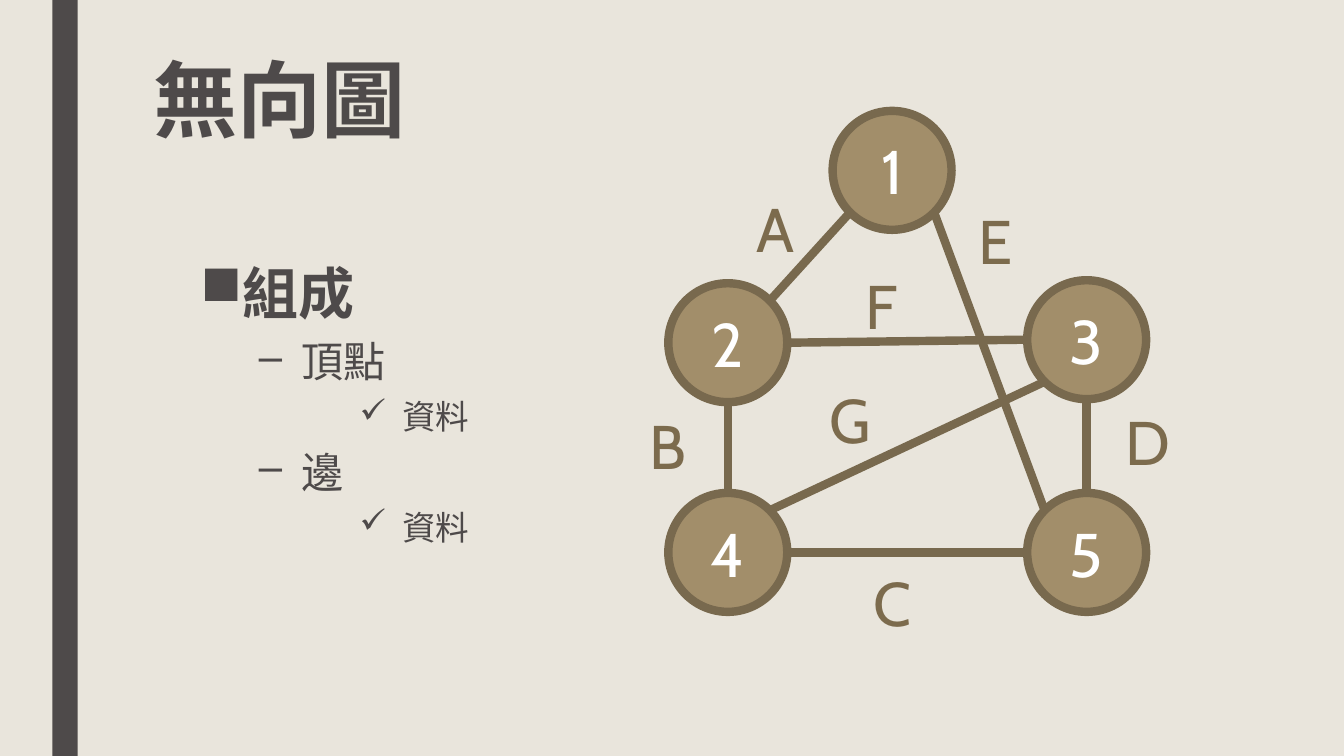
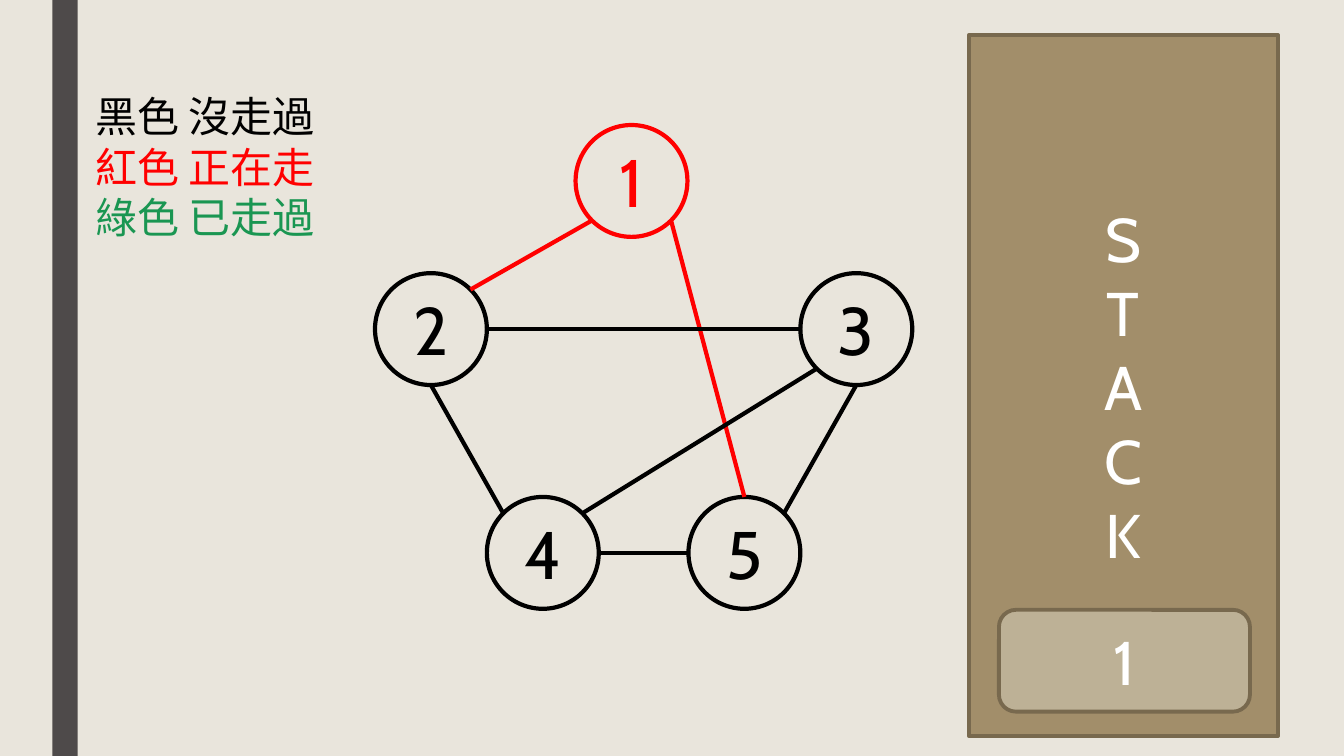
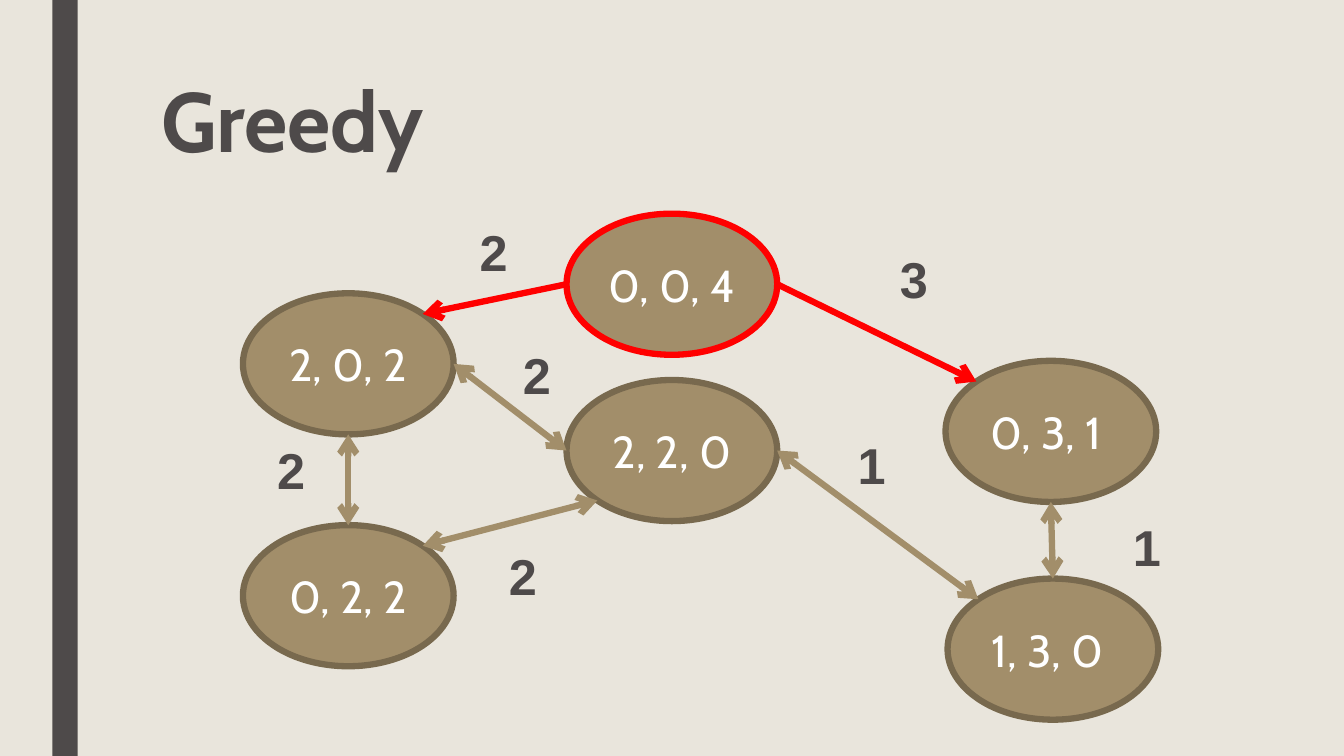
"""Three slides on graphs: parts, a depth-first walk and a greedy search."""
from math import cos, radians, sin

from lxml import etree
from pptx import Presentation
from pptx import util as u
from pptx.dml.color import RGBColor
from pptx.enum import shapes, text
from pptx.oxml.ns import qn

CREAM = RGBColor(0xE9, 0xE5, 0xDC)
DARK = RGBColor(0x4E, 0x4A, 0x4A)
TAN = RGBColor(0xA2, 0x8E, 0x6A)
SAND = RGBColor(0xBD, 0xB1, 0x96)
BROWN = RGBColor(0x78, 0x69, 0x4E)
UMBER = RGBColor(0x7C, 0x6B, 0x4D)
WHITE = RGBColor(0xFF, 0xFF, 0xFF)
BLACK = RGBColor(0x00, 0x00, 0x00)
RED = RGBColor(0xFF, 0x00, 0x00)
GREEN = RGBColor(0x1A, 0x96, 0x52)

CELL = u.Inches(0.1)
WIDE, HIGH = 133.33, 75
OVAL = shapes.MSO_SHAPE.OVAL
RECT = shapes.MSO_SHAPE.RECTANGLE
ROUND = shapes.MSO_SHAPE.ROUNDED_RECTANGLE
MID = text.PP_ALIGN.CENTER
TOP, LOW, LEFT, RIGHT = 0, 4, 2, 6
TOP_L, LOW_L, LOW_R, TOP_R = 1, 3, 5, 7


def grid(*cells):
    """Turn grid cells into lengths."""
    return [round(n * CELL) for n in cells]


def style(para, size, color, font="Cabin", bold=False, align=None):
    """Format a paragraph and its runs."""
    para.alignment = align
    for run in para.runs:
        run.font.size = u.Pt(size)
        run.font.name = font
        run.font.bold = bold
        run.font.color.rgb = color


def block(slide, kind, box, fill=None, line=None, width=0, words="", size=44, ink=WHITE):
    """Add a preset shape with centred text."""
    shape = slide.shapes.add_shape(kind, *grid(*box))
    shape.shadow.inherit = False
    if fill is None:
        shape.fill.background()
    else:
        shape.fill.solid()
        shape.fill.fore_color.rgb = fill
    if line is None:
        shape.line.fill.background()
    else:
        shape.line.color.rgb = line
        shape.line.width = u.Pt(width)
    frame = shape.text_frame
    frame.text = words
    frame.vertical_anchor = text.MSO_ANCHOR.MIDDLE
    for para in frame.paragraphs:
        style(para, size, ink, align=MID)
    return shape


def site(oval, index):
    """Find one of the eight joints of an oval, counted from the top leftwards."""
    turn = radians(90 + 45 * index)
    return (round(oval.left + oval.width * (1 + cos(turn)) / 2),
            round(oval.top + oval.height * (1 - sin(turn)) / 2))


def link(slide, start, first, end, last, color, width, tips=()):
    """Join two ovals with a straight line."""
    line = slide.shapes.add_connector(
        shapes.MSO_CONNECTOR.STRAIGHT, *site(start, first), *site(end, last))
    line.line.color.rgb = color
    line.line.width = u.Pt(width)
    glue = line.element.find(".//" + qn("p:cNvCxnSpPr"))
    for tag, oval, index in (("a:stCxn", start, first), ("a:endCxn", end, last)):
        etree.SubElement(glue, qn(tag), id=str(oval.shape_id), idx=str(index))
    props = line.element.find(qn("p:spPr"))
    for tip in tips:
        etree.SubElement(props.find(qn("a:ln")), qn(tip), type="arrow")
    etree.SubElement(props, qn("a:effectLst"))


def note(slide, box, words, wrap=False):
    """Add a text box and return its frame."""
    frame = slide.shapes.add_textbox(*grid(*box)).text_frame
    frame.text = words
    frame.word_wrap = wrap
    return frame


def label(slide, box, words, size, color, **look):
    """Add a short label that fits its text."""
    frame = note(slide, box, words)
    frame.auto_size = text.MSO_AUTO_SIZE.SHAPE_TO_FIT_TEXT
    style(frame.paragraphs[0], size, color, **look)


def bullet(para, mark, inset, level, before):
    """Give a paragraph a hanging bullet."""
    para.level = level
    para.space_before = u.Pt(before)
    para.space_after = u.Pt(2)
    props = para._p.get_or_add_pPr()
    props.set("marL", str(u.Inches(inset)))
    props.set("indent", str(u.Inches(-0.42)))
    etree.SubElement(props, qn("a:buChar"), char=mark)


def head(slide, left, top, words):
    """Place and format the title."""
    title = slide.shapes.title
    title.left, title.top, title.width, title.height = grid(left, top, 105, 16.2)
    frame = title.text_frame
    frame.text = words
    frame.auto_size = text.MSO_AUTO_SIZE.NONE
    frame.vertical_anchor = text.MSO_ANCHOR.TOP
    para = frame.paragraphs[0]
    style(para, 60, DARK, bold=True, align=text.PP_ALIGN.LEFT)
    para.line_spacing = 0.89


def theme(deck, slide):
    """Put the background and the side band on the master."""
    master = deck.slide_master
    master.background.fill.solid()
    master.background.fill.fore_color.rgb = CREAM
    band = block(slide, RECT, (5.2, 0, 2.5, HIGH), DARK)
    master.shapes.element.insert(2, band.element)


def parts(slide):
    """Show an undirected graph and what it is made of."""
    head(slide, 14.2, 5.4, "無向圖")
    west, east, base, side = 66.3, 101.9, 48.9, 11.8
    spots = {1: (82.6, 11), 5: (east, base), 4: (west, base),
             3: (east, 27.8), 2: (west, 28.1)}
    node = {n: block(slide, OVAL, (*spot, side, side), TAN, BROWN, 6, str(n))
            for n, spot in spots.items()}
    for a, i, b, j in ((4, RIGHT, 5, LEFT), (5, TOP_L, 1, LOW_R), (4, TOP, 2, LOW),
                       (5, TOP, 3, LOW), (3, LEFT, 2, RIGHT), (2, TOP_R, 1, LOW_L),
                       (3, LOW_L, 4, TOP_R)):
        link(slide, node[a], i, node[b], j, BROWN, 6)
    for name, x, y, w in (("A", 74.1, 18.4, 5.3), ("B", 63.4, 40, 5.8),
                          ("C", 85.6, 55.6, 5.8), ("D", 110.7, 39.6, 6),
                          ("E", 96.1, 19.6, 5.4), ("F", 84.9, 26.1, 5.2),
                          ("G", 81.3, 37.4, 6)):
        label(slide, (x, y, w, 8.4), name, 44, UMBER, align=MID)
    frame = note(slide, (18.9, 25.2, 42.8, 38.4), "組成\n頂點\n資料\n邊\n資料", True)
    first, *rest = frame.paragraphs
    style(first, 40, DARK, bold=True)
    bullet(first, "■", 0.42, 0, 10)
    for para in rest[::2]:
        style(para, 30, DARK, "Cambria")
        bullet(para, "–", 1, 1, 5)
    for para in rest[1::2]:
        style(para, 24, DARK)
        bullet(para, "✓", 2, 3, 5)


def walk(slide):
    """Show the first step of a walk and its stack."""
    side, base, mid = 11.1, 49.3, 27.1
    spots = {1: (57.1, 12.4), 4: (48.3, base), 3: (79.4, mid),
             5: (68.3, base), 2: (37.2, mid)}
    node = {}
    for n, spot in spots.items():
        ink = RED if n == 1 else BLACK
        node[n] = block(slide, OVAL, (*spot, side, side), None, ink, 3, str(n), 48, ink)
    for a, i, b, j in ((1, LOW_L, 2, TOP_R), (1, LOW_R, 5, TOP), (2, LOW, 4, TOP_L),
                       (4, RIGHT, 5, LEFT), (3, LOW, 5, TOP_R), (2, RIGHT, 3, LEFT),
                       (3, LOW_L, 4, TOP_R)):
        link(slide, node[a], i, node[b], j, RED if a == 1 else BLACK, 3)
    key = note(slide, (8.5, 8.5, 27, 16.2), "黑色 沒走過\n紅色 正在走\n綠色 已走過", True)
    for para, ink in zip(key.paragraphs, (BLACK, RED, GREEN)):
        style(para, 30, ink)
    block(slide, RECT, (96.1, 3.5, 30.7, 69.5), TAN, BROWN, 2.75, "\n".join("STACK"))
    block(slide, ROUND, (99.1, 60.5, 24.9, 10.1), SAND, BROWN, 2.75, "1")


def greedy(slide):
    """Show the states of a greedy search and the cost of each move."""
    head(slide, 15, 7.5, "Greedy")
    start, west, mid = "0, 0, 4", 24.1, 56.2
    spots = {start: (mid, 21.2), "0, 3, 1 ": (93.8, 35.8), "2, 0, 2": (west, 29.1),
             "0, 2, 2": (west, 52.1), "1, 3, 0 ": (94, 57.4), "2, 2, 0": (mid, 37.7)}
    node = {}
    for name, spot in spots.items():
        edge = RED if name == start else BROWN
        node[name.strip()] = block(slide, OVAL, (*spot, 20.9, 14), TAN, edge, 4.5, name, 32)
    for a, i, b, j in ((start, RIGHT, "0, 3, 1", TOP_L), (start, LEFT, "2, 0, 2", TOP_R),
                       ("2, 0, 2", LOW, "0, 2, 2", TOP), ("2, 2, 0", LEFT, "2, 0, 2", RIGHT),
                       ("0, 3, 1", LOW, "1, 3, 0", TOP), ("2, 2, 0", RIGHT, "1, 3, 0", TOP_L),
                       ("2, 2, 0", LOW_L, "0, 2, 2", TOP_R)):
        ink, tips = (RED, ("a:tailEnd",)) if a == start else (TAN, ("a:headEnd", "a:tailEnd"))
        link(slide, node[a], i, node[b], j, ink, 4.5, tips)
    for cost, x, y in ((2, 46.6, 21.4), (3, 88.3, 24.1), (1, 111.4, 50.7), (1, 84.1, 42.6),
                       (2, 49.5, 53.6), (2, 26.5, 43.1), (2, 50.9, 33.6)):
        label(slide, (x, y, 5, 7.1), str(cost), 36, DARK, font="Arial", bold=True)


def main():
    """Build and save the deck."""
    deck = Presentation()
    deck.slide_width, deck.slide_height = grid(WIDE, HIGH)
    titled, blank = deck.slide_layouts[5], deck.slide_layouts[6]
    pages = [deck.slides.add_slide(kind) for kind in (titled, blank, titled)]
    theme(deck, pages[0])
    for draw, page in zip((parts, walk, greedy), pages):
        draw(page)
    deck.save("out.pptx")


if __name__ == "__main__":
    main()
